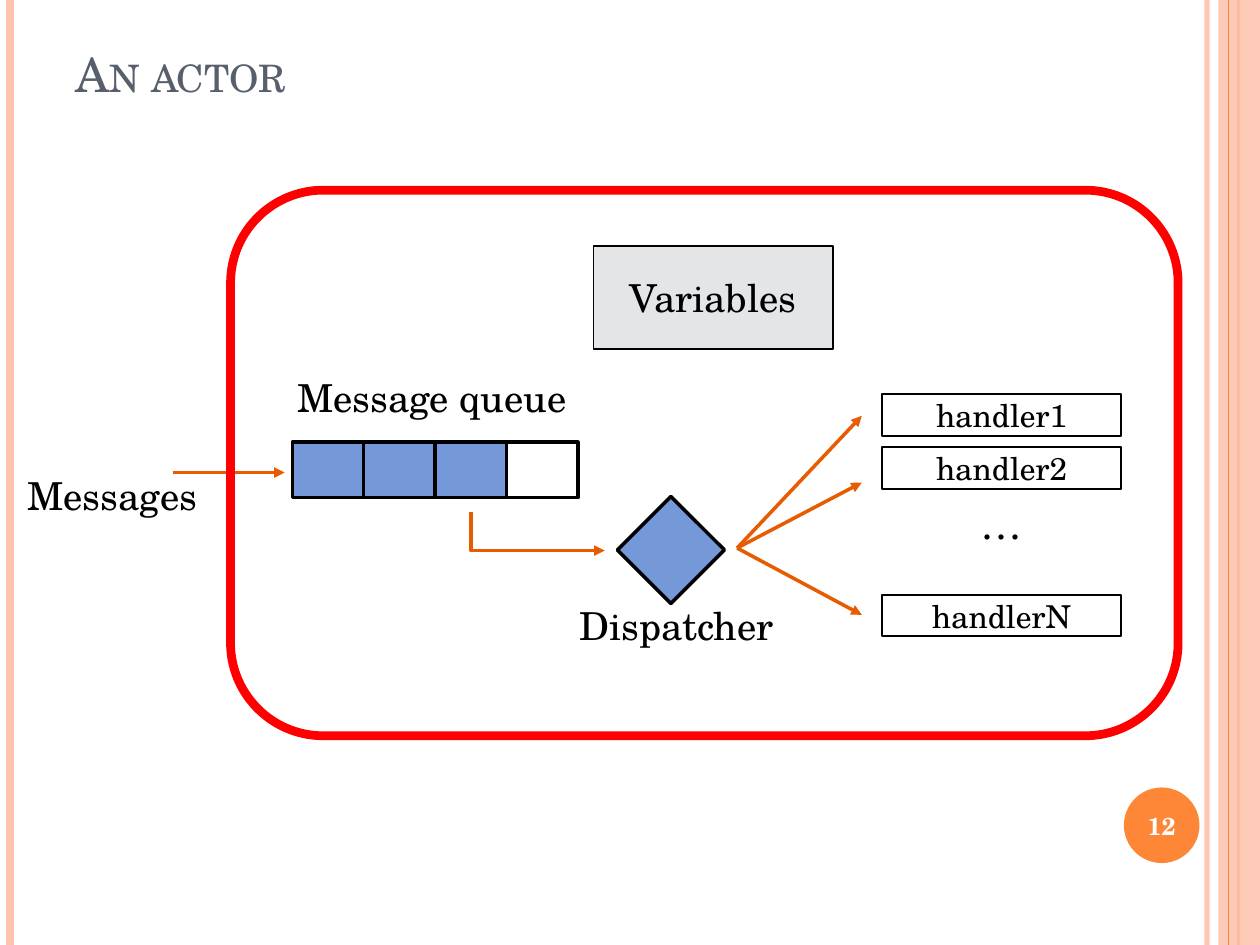
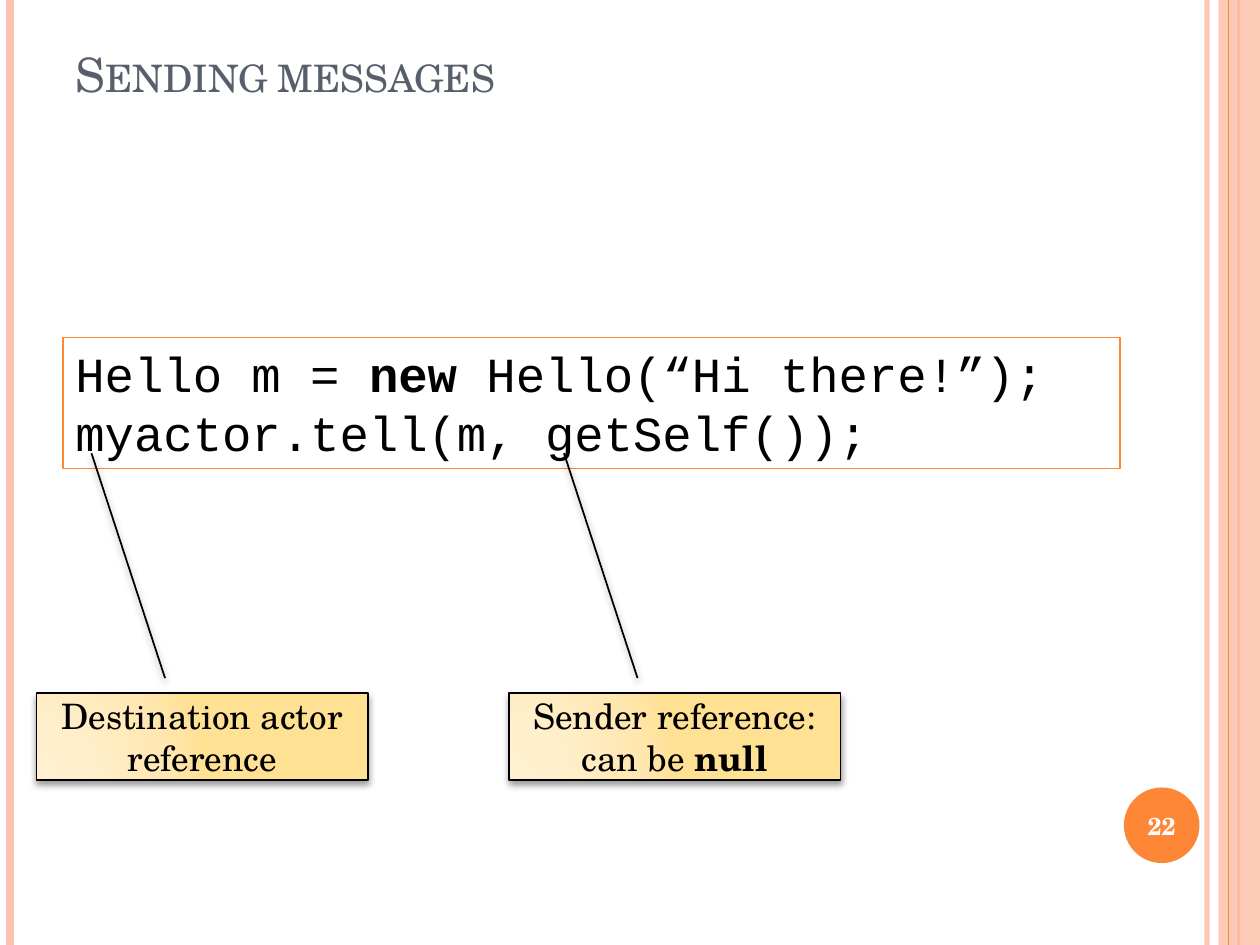
from lxml import etree
from pptx import Presentation
from pptx.dml.color import RGBColor
from pptx.enum.shapes import MSO_CONNECTOR as LINK, MSO_SHAPE as SHAPE
from pptx.enum.text import MSO_ANCHOR as ANCHOR, MSO_AUTO_SIZE as FIT, PP_ALIGN as ALIGN
from pptx.oxml.ns import nsdecls, qn
from pptx.oxml import parse_xml
from pptx.util import Inches, Pt

# ---- Shared look ----
WIDTH, HEIGHT = 10, 7.5
SERIF, MONO = "TeX Gyre Schola", "Courier New"
BLACK, WHITE, SLATE = "000000", "FFFFFF", "575F6D"
ORANGE, PEACH, ARROW = "FE8637", "FEC3AE", "E75C01"
BLUE, GREY, RED = "7598D9", "E4E5E6", "FF0000"
STRIPES = [  # x, colour, width, opacity
    (9.58, PEACH, 3, 93), (0.08, PEACH, 4.5, 100), (9.83, ORANGE, 1.5, 100)]
BAND, BAND_OPACITY = (9.67, 0, 0.33, HEIGHT), 87
BAND_EDGE = (9.75, ORANGE, 0.75, 100)
BADGE = (8.92, 6.25, 0.6, 0.6)
TITLE = (0.5, 0.3, 8.17, 0.56)

# ---- "An actor" ----
ACTOR_FRAME = (1.83, 1.51, 7.52, 4.33)
VARIABLES = ("Variables", (4.71, 1.95, 1.9, 0.82))
QUEUE_CELLS = [BLUE, BLUE, BLUE, WHITE]
QUEUE_LEFT, QUEUE_TOP, CELL_W, CELL_H = 2.32, 3.51, 0.567, 0.44
DISPATCHER = (4.9, 3.94, 0.85, 0.85)
LABELS = [("Message queue", (2.26, 2.92, 2.37, 0.47)),
          ("Messages", (0.12, 3.7, 1.57, 0.47)),
          ("Dispatcher", (4.5, 4.73, 1.77, 0.47))]
HANDLERS = [("handler1", 3.13, 3.3), ("handler2", 3.55, 3.83),
            ("handlerN", 4.72, 4.88)]  # name, top, arrow tip
HANDLER_LEFT, HANDLER_W, HANDLER_H = 7, 1.9, 0.33
FAN_START, FAN_END = (5.85, 4.35), 6.84
MORE_HANDLERS = ("…", (6.95, 3.9, 1.99, 0.5))
INCOMING = ((1.37, 3.75), (2.26, 3.75))
TO_DISPATCHER = [(3.74, 4.06), (3.74, 4.37), (4.8, 4.37)]

# ---- "Sending messages" (bold runs are marked True) ----
CODE = [[("Hello m = ", False), ("new", True), (" Hello(“Hi there!”);", False)],
        [("myactor.tell(m, getSelf());", False)]]
CODE_BOX = (0.5, 2.68, 8.39, 1.04)
CALLOUTS = [(0.29, [("Destination actor reference", False)]),
            (4.04, [("Sender reference: can be ", False), ("null", True)])]
CALLOUT_TOP, CALLOUT_W, CALLOUT_H = 5.5, 2.63, 0.69
POINTER = (-0.172, 0.388, -2.758, 0.166)
GLOW = [(0, "FFF0D1"), (30, "FFEFCC"), (75, "FFE7B1"), (100, "FFE193")]


def rgb(code):
    return RGBColor.from_string(code)


def lengths(values):
    return [Inches(value) for value in values]


def set_opacity(part, percent):
    """Make the solid colour of a fill or line element partly transparent."""
    colour = part.find(".//" + qn("a:srgbClr"))
    etree.SubElement(colour, qn("a:alpha")).set("val", str(percent * 1000))


def write(owner, lines, size, font=SERIF, colour=BLACK, align=ALIGN.CENTER,
          anchor=ANCHOR.MIDDLE, **frame_format):
    """Fill a text frame; lines is a string or a list of lists of (text, bold)."""
    if isinstance(lines, str):
        lines = [[(lines, False)]]
    frame = owner.text_frame
    settings = {"word_wrap": True, "vertical_anchor": anchor, **frame_format}
    for key, value in settings.items():
        setattr(frame, key, value)
    for index, line in enumerate(lines):
        paragraph = frame.add_paragraph() if index else frame.paragraphs[0]
        paragraph.alignment = align
        for text, bold in line:
            run = paragraph.add_run()
            run.text = text
            run.font.color.rgb = rgb(colour)
            for key, value in {"name": font, "size": Pt(size), "bold": bold}.items():
                setattr(run.font, key, value)


def outline(line, colour, width):
    line.color.rgb = rgb(colour)
    line.width = Pt(width)


def add_box(shapes, kind, place, fill=None, line=None, width=1):
    box = shapes.add_shape(kind, *lengths(place))
    box.shadow.inherit = False
    if fill:
        box.fill.solid()
        box.fill.fore_color.rgb = rgb(fill)
    else:
        box.fill.background()
    if line:
        outline(box.line, line, width)
    else:
        box.line.fill.background()
    return box


def add_label(shapes, text, place, size, **text_format):
    label = shapes.add_textbox(*lengths(place))
    write(label, text, size, anchor=ANCHOR.TOP, auto_size=FIT.SHAPE_TO_FIT_TEXT,
          **text_format)


def add_line(shapes, start, end, colour, width):
    line = shapes.add_connector(LINK.STRAIGHT, *lengths(start + end))
    outline(line.line, colour, width)
    etree.SubElement(line.element.spPr, qn("a:effectLst"))
    return line


def add_arrowhead(line):
    stroke = line.element.spPr.find(qn("a:ln"))
    etree.SubElement(stroke, qn("a:tailEnd")).set("type", "triangle")


def add_arrow(shapes, start, end):
    add_arrowhead(add_line(shapes, start, end, ARROW, 2))


def add_stripe(shapes, x, colour, width, opacity):
    stripe = add_line(shapes, (x, 0), (x, HEIGHT), colour, width)
    if opacity < 100:
        set_opacity(stripe.element.spPr, opacity)


def new_slide(deck, heading, number):
    """Start a slide with its side bands, number badge and title."""
    slide = deck.slides.add_slide(deck.slide_layouts[5])
    shapes = slide.shapes
    for stripe in STRIPES:
        add_stripe(shapes, *stripe)
    band = add_box(shapes, SHAPE.RECTANGLE, BAND, PEACH)
    set_opacity(band.element.spPr, BAND_OPACITY)
    add_stripe(shapes, *BAND_EDGE)
    badge = add_box(shapes, SHAPE.OVAL, BADGE, ORANGE)
    write(badge, [[(str(number), True)]], 14, colour=WHITE,
          margin_left=0, margin_right=0)

    title = shapes.title
    title.left, title.top, title.width, title.height = lengths(TITLE)
    write(title, heading, 27, colour=SLATE, align=ALIGN.LEFT,
          anchor=ANCHOR.BOTTOM, auto_size=FIT.NONE)
    for run in title.text_frame.paragraphs[0].runs:
        run.font._element.set("cap", "small")
    return shapes


def build_actor(deck):
    shapes = new_slide(deck, "An actor", 12)

    # Message queue and its labels
    queue = shapes.add_group_shape().shapes
    for index, fill in enumerate(QUEUE_CELLS):
        cell = (QUEUE_LEFT + index * CELL_W, QUEUE_TOP, CELL_W, CELL_H)
        add_box(queue, SHAPE.RECTANGLE, cell, fill, BLACK, 2)
    for text, place in LABELS:
        add_label(shapes, text, place, 22, align=ALIGN.LEFT, word_wrap=False)

    # Way of a message to the dispatcher
    corner, *rest = [lengths(point) for point in TO_DISPATCHER]
    builder = shapes.build_freeform(*corner)
    builder.add_line_segments(rest, close=False)
    elbow = builder.convert_to_shape()
    elbow.shadow.inherit = False
    elbow.fill.background()
    outline(elbow.line, ARROW, 2)
    add_arrowhead(elbow)
    add_arrow(shapes, *INCOMING)
    add_box(shapes, SHAPE.DIAMOND, DISPATCHER, BLUE, BLACK, 2)

    # Handlers and the arrows that fan out to them
    add_label(shapes, *MORE_HANDLERS, 24)
    for name, top, tip in HANDLERS:
        handler = add_box(shapes, SHAPE.RECTANGLE,
                          (HANDLER_LEFT, top, HANDLER_W, HANDLER_H), line=BLACK)
        write(handler, name, 18)
        add_arrow(shapes, FAN_START, (FAN_END, tip))

    # State and the actor's border
    text, place = VARIABLES
    write(add_box(shapes, SHAPE.RECTANGLE, place, GREY, BLACK), text, 22)
    frame = add_box(shapes, SHAPE.ROUNDED_RECTANGLE, ACTOR_FRAME, line=RED, width=5)
    frame.adjustments[0] = 0.17


def add_glow(callout):
    """Give a callout its radial gradient and soft shadow."""
    stops = "".join(f'<a:gs pos="{pos * 1000}"><a:srgbClr val="{colour}"/></a:gs>'
                    for pos, colour in GLOW)
    gradient = parse_xml(
        f'<a:gradFill {nsdecls("a")} rotWithShape="1"><a:gsLst>{stops}</a:gsLst>'
        '<a:path path="circle"><a:fillToRect l="5000" t="100000" r="120000" b="10000"/>'
        '</a:path></a:gradFill>')
    shadow = parse_xml(
        f'<a:outerShdw {nsdecls("a")} blurRad="{Pt(4)}" dist="{Pt(2)}" dir="5400000" '
        'rotWithShape="0"><a:srgbClr val="000000"><a:alpha val="40000"/></a:srgbClr>'
        '</a:outerShdw>')
    look = callout.element.spPr
    look.replace(look.find(qn("a:noFill")), gradient)
    look.find(qn("a:effectLst")).append(shadow)


def build_sending(deck):
    shapes = new_slide(deck, "Sending messages", 22)
    code = add_box(shapes, SHAPE.RECTANGLE, CODE_BOX, line=ORANGE, width=0.75)
    write(code, CODE, 28, font=MONO, align=ALIGN.LEFT, anchor=ANCHOR.TOP,
          auto_size=FIT.SHAPE_TO_FIT_TEXT)

    # Callouts that point into the code
    for left, remark in CALLOUTS:
        place = (left, CALLOUT_TOP, CALLOUT_W, CALLOUT_H)
        callout = add_box(shapes, SHAPE.LINE_CALLOUT_1, place, line=BLACK)
        for index, share in enumerate(POINTER):
            callout.adjustments[index] = share
        add_glow(callout)
        write(callout, [remark], 20)


def main():
    deck = Presentation()
    deck.slide_width, deck.slide_height = lengths((WIDTH, HEIGHT))
    build_actor(deck)
    build_sending(deck)
    deck.save("out.pptx")


if __name__ == "__main__":
    main()
